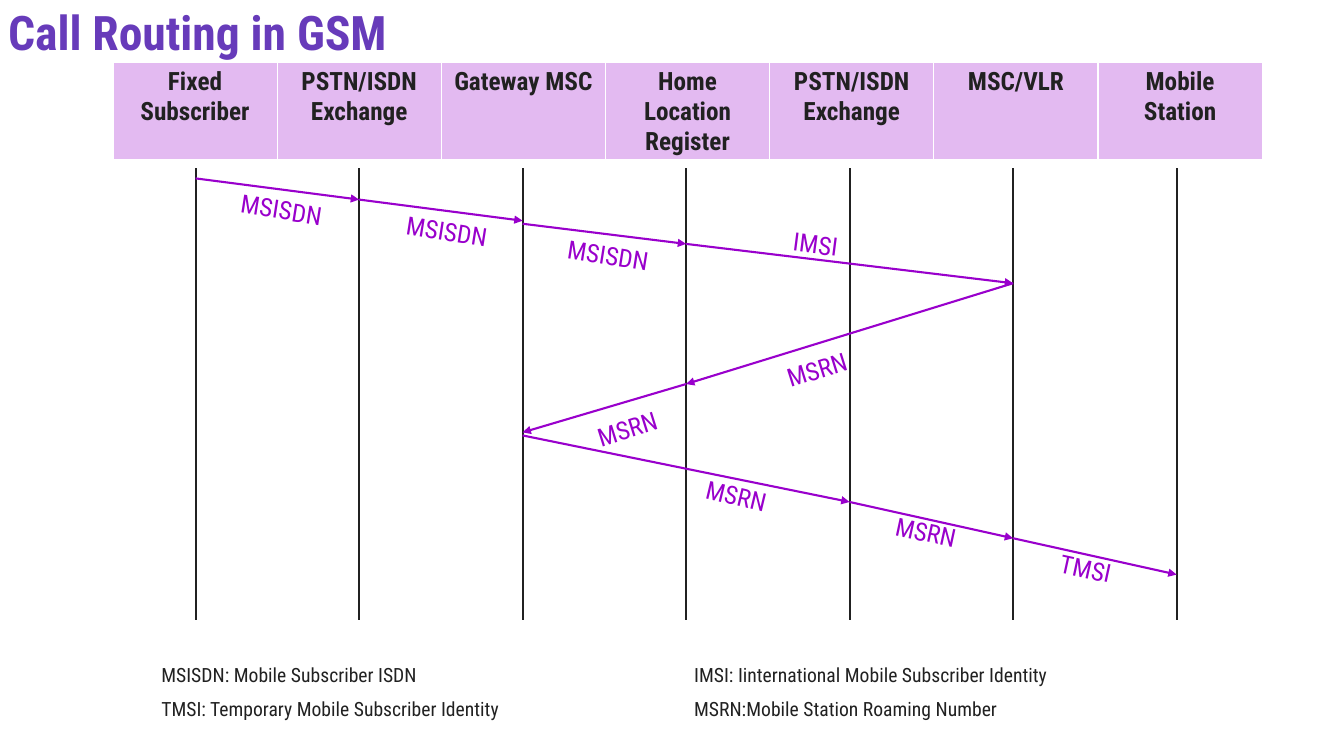
from dataclasses import dataclass

from lxml import etree
from pptx import Presentation
from pptx import util as u
from pptx.dml import color
from pptx.enum import shapes, text
from pptx.oxml import ns


@dataclass(frozen=True)
class Theme:
    font: str = "Roboto Condensed"
    ink: str = "212121"
    call: str = "9900CC"
    head: str = "673BBA"
    white: str = "FFFFFF"
    tint: int = 27
    big: int = 34
    mid: int = 18
    small: int = 14
    line: float = 1.5


@dataclass(frozen=True)
class Box:
    left: float
    top: float
    width: float
    height: float

    def place(self):
        return [u.Inches(n) for n in (self.left, self.top, self.width, self.height)]


THEME = Theme()
NODES = ["Fixed Subscriber", "PSTN/ISDN Exchange", "Gateway MSC",
         "Home Location Register", "PSTN/ISDN Exchange", "MSC/VLR",
         "Mobile Station"]
TERMS = [["MSISDN: Mobile Subscriber ISDN",
          "IMSI: Iinternational Mobile Subscriber Identity"],
         ["TMSI: Temporary Mobile Subscriber Identity",
          "MSRN:Mobile Station Roaming Number"]]
# from node, y, to node, y, label, label box, angle, wrap
CALLS = [
    (0, 0.10, 1, 0.31, "MSISDN", Box(0.35, 0.21, 1.02, 0.4), 9.1, False),
    (1, 0.31, 2, 0.52, "MSISDN", Box(1.99, 0.42, 1.02, 0.4), 9.1, False),
    (2, 0.55, 3, 0.75, "MSISDN", Box(3.59, 0.66, 1.02, 0.4), 9.1, False),
    (3, 0.75, 5, 1.14, "IMSI", Box(5.83, 0.55, 0.65, 0.4), 7.4, False),
    (5, 1.14, 3, 2.14, "MSRN", Box(5.76, 1.79, 0.81, 0.4), 342.4, False),
    (3, 2.14, 2, 2.62, "MSRN", Box(3.88, 2.38, 0.81, 0.4), 342.4, False),
    (2, 2.65, 4, 3.31, "MSRN", Box(4.96, 3.07, 1.0, 0.4), 13.5, True),
    (4, 3.31, 5, 3.67, "MSRN", Box(6.84, 3.43, 1.02, 0.4), 12.4, True),
    (5, 3.67, 6, 4.03, "TMSI", Box(8.47, 3.80, 1.02, 0.4), 12.4, True),
]


def write(frame, words, size, ink, bold=False, align=text.PP_ALIGN.LEFT):
    para = frame.paragraphs[0]
    para.alignment = align
    run = para.add_run()
    run.text = words
    run.font.name = THEME.font
    run.font.size = u.Pt(size)
    run.font.bold = bold
    run.font.color.rgb = color.RGBColor.from_string(ink)


def paint(cell, ink, tint=None):
    cell.fill.solid()
    cell.fill.fore_color.rgb = color.RGBColor.from_string(ink)
    if tint is not None:
        tone = cell._tc.tcPr.find(".//" + ns.qn("a:srgbClr"))
        etree.SubElement(tone, ns.qn("a:alpha"), val=str(tint * 1000))


def edge(cell, widths):
    props = cell._tc.get_or_add_tcPr()
    for spot, (side, width) in enumerate(widths.items()):
        line = etree.Element(ns.qn("a:" + side), w=str(u.Pt(width)))
        fill = etree.SubElement(line, ns.qn("a:solidFill"))
        etree.SubElement(fill, ns.qn("a:srgbClr"), val=THEME.white)
        props.insert(spot, line)


def draw(slide, start, end, ink, arrow=False):
    ends = [u.Inches(n) for n in (*start, *end)]
    link = slide.shapes.add_connector(shapes.MSO_CONNECTOR.STRAIGHT, *ends)
    link.line.color.rgb = color.RGBColor.from_string(ink)
    link.line.width = u.Pt(THEME.line)
    if arrow:
        line = link.line._get_or_add_ln()
        etree.SubElement(line, ns.qn("a:tailEnd"), type="triangle")
    etree.SubElement(link._element.spPr, ns.qn("a:effectLst"))


def add_title(slide, box):
    title = slide.shapes.title
    title.left, title.top, title.width, title.height = box.place()
    frame = title.text_frame
    frame.word_wrap = False
    frame.auto_size = text.MSO_AUTO_SIZE.NONE
    frame.vertical_anchor = text.MSO_ANCHOR.TOP
    write(frame, "Call Routing in GSM", THEME.big, THEME.head, True)


def add_nodes(slide, box):
    grid = slide.shapes.add_table(2, len(NODES), *box.place()).table
    grid.horz_banding = False
    grid.rows[0].height = u.Inches(0.96)
    grid.rows[1].height = u.Inches(box.height - 0.96)
    for col, name in enumerate(NODES):
        top, low = grid.cell(0, col), grid.cell(1, col)
        paint(top, THEME.call, THEME.tint)
        paint(low, THEME.white)
        edge(top, {"lnL": 1, "lnR": 1, "lnT": 1, "lnB": 3})
        edge(low, {"lnL": 1, "lnR": 1, "lnT": 3, "lnB": 1})
        write(top.text_frame, name, THEME.mid, THEME.ink, True,
              text.PP_ALIGN.CENTER)


def add_calls(slide, box):
    step = box.width / (len(NODES) - 1)
    lanes = [box.left + step * n for n in range(len(NODES))]
    for x in lanes:
        draw(slide, (x, box.top), (x, box.top + box.height), THEME.ink)
    for src, y1, dst, y2, name, spot, angle, wrap in CALLS:
        draw(slide, (lanes[src], box.top + y1), (lanes[dst], box.top + y2),
             THEME.call, True)
        area = Box(box.left + spot.left, box.top + spot.top,
                   spot.width, spot.height)
        label = slide.shapes.add_textbox(*area.place())
        label.rotation = angle
        label.text_frame.word_wrap = wrap
        label.text_frame.auto_size = text.MSO_AUTO_SIZE.SHAPE_TO_FIT_TEXT
        write(label.text_frame, name, THEME.mid, THEME.call)


def add_terms(slide, box):
    grid = slide.shapes.add_table(2, 2, *box.place()).table
    grid.first_row = grid.horz_banding = False
    for row, pair in enumerate(TERMS):
        for col, term in enumerate(pair):
            cell = grid.cell(row, col)
            cell.fill.background()
            write(cell.text_frame, term, THEME.small, THEME.ink)


def main():
    deck = Presentation()
    deck.slide_width, deck.slide_height = u.Inches(13.33), u.Inches(7.5)
    slide = deck.slides.add_slide(deck.slide_layouts[5])
    add_nodes(slide, Box(1.12, 0.62, 11.4, 6.01))
    add_calls(slide, Box(1.94, 1.67, 9.73, 4.48))
    add_title(slide, Box(-0.02, -0.02, 4, 0.67))
    add_terms(slide, Box(1.5, 6.54, 10.57, 0.67))
    deck.save("out.pptx")


if __name__ == "__main__":
    main()
